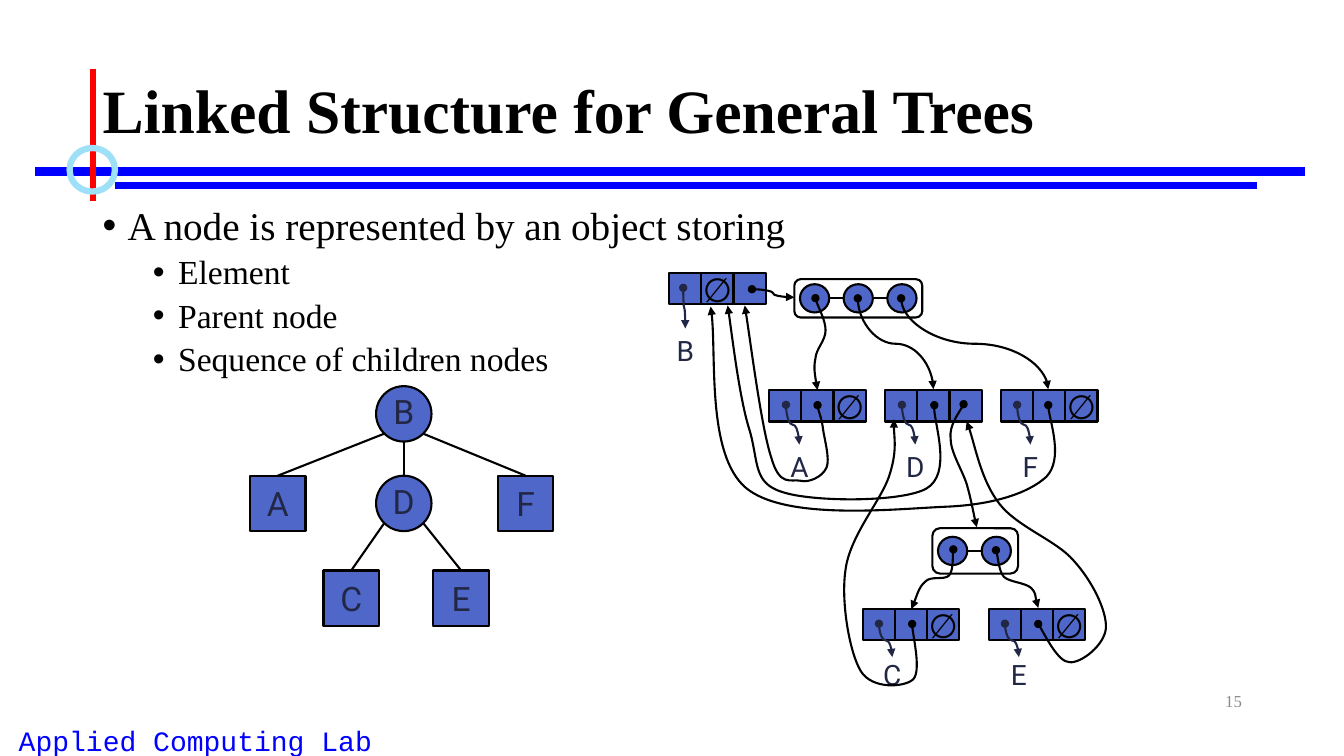
"""Build the slide on the linked structure for general trees."""
import dataclasses

import lxml.etree
import pptx
import pptx.dml.color
import pptx.enum.shapes
import pptx.enum.text
import pptx.oxml.ns
import pptx.util

Pt = pptx.util.Pt
qn = pptx.oxml.ns.qn
Shape = pptx.enum.shapes.MSO_SHAPE
Join = pptx.enum.shapes.MSO_CONNECTOR
Align = pptx.enum.text.PP_ALIGN
Anchor = pptx.enum.text.MSO_ANCHOR


@dataclasses.dataclass(frozen=True)
class Theme:
    black: str = "000000"
    blue: str = "0000FF"
    red: str = "FF0000"
    sky: str = "9EE0F8"
    node: str = "4E67C8"
    ink: str = "212745"
    gray: str = "8C8C8C"
    serif: str = "Times New Roman"
    sans: str = "Roboto"
    mono: str = "Courier New"
    title: int = 44
    lead: int = 28
    item: int = 24
    small: int = 20
    page: int = 12


class Pen:
    def __init__(self, theme, slide):
        self.theme = theme
        self.slide = slide
        self.host = slide.shapes

    def group(self):
        self.host = self.slide.shapes.add_group_shape().shapes

    def color(self, value):
        return pptx.dml.color.RGBColor.from_string(value)

    def style(self, para, font, size, color, bold=False):
        for run in para.runs:
            run.font.name = font
            run.font.size = Pt(size)
            run.font.bold = bold
            run.font.color.rgb = self.color(color)

    def text(self, box, words, font, size, color, align=Align.LEFT, bold=False, wrap=True):
        box = self.host.add_textbox(*map(Pt, box))
        frame = box.text_frame
        frame.word_wrap = wrap
        frame.text = words
        para = frame.paragraphs[0]
        para.alignment = align
        self.style(para, font, size, color, bold)
        return frame

    def bullet(self, para, left):
        props = para._p.get_or_add_pPr()
        props.set("marL", str(Pt(left)))
        props.set("indent", str(Pt(-18)))
        font = lxml.etree.SubElement(props, qn("a:buFont"))
        font.set("typeface", "Arial")
        lxml.etree.SubElement(props, qn("a:buChar")).set("char", "•")
        para.line_spacing = 0.9

    def shape(self, kind, box, fill=None, line=None, width=1.5):
        item = self.host.add_shape(kind, *map(Pt, box))
        item.shadow.inherit = False
        if fill:
            item.fill.solid()
            item.fill.fore_color.rgb = self.color(fill)
        else:
            item.fill.background()
        if line:
            self.stroke(item, line, width)
        else:
            item.line.fill.background()
        return item

    def sign(self, item, words, color, foot=3.6, inset=7.2, top=3.6):
        frame = item.text_frame
        frame.word_wrap = False
        frame.margin_left = frame.margin_right = Pt(inset)
        frame.margin_top, frame.margin_bottom = Pt(top), Pt(foot)
        frame.vertical_anchor = Anchor.MIDDLE
        frame.text = words
        para = frame.paragraphs[0]
        para.alignment = Align.CENTER
        self.style(para, self.theme.sans, self.theme.item, color)

    def stroke(self, item, color, width=1.5, arrow=False):
        item.line.color.rgb = self.color(color)
        item.line.width = Pt(width)
        if arrow:
            line = item._element.spPr.find(qn("a:ln"))
            for tag, kind in (("a:headEnd", "oval"), ("a:tailEnd", "triangle")):
                lxml.etree.SubElement(line, qn(tag)).set("type", kind)

    def link(self, start, end, color, width=1.5, kind=Join.STRAIGHT, arrow=False):
        item = self.host.add_connector(kind, *map(Pt, (*start, *end)))
        self.stroke(item, color, width, arrow)
        lxml.etree.SubElement(item._element.spPr, qn("a:effectLst"))
        return item

    def drop(self, start, end, color):
        midx, midy = (start[0] + end[0]) / 2, (start[1] + end[1]) / 2
        halfx, halfy = (end[0] - start[0]) / 2, (end[1] - start[1]) / 2
        item = self.link((midx + halfy, midy - halfx), (midx - halfy, midy + halfx),
                         color, kind=Join.CURVE, arrow=True)
        item.rotation = 270

    def curve(self, *spots):
        spots = [(Pt(x), Pt(y)) for x, y in spots]
        maker = self.host.build_freeform(*spots[0])
        maker.add_line_segments(spots[1:], close=False)
        item = maker.convert_to_shape()
        route = item._element.xpath(".//a:path")[0]
        steps = route.findall(qn("a:lnTo"))
        for first in range(0, len(steps), 3):
            bend = lxml.etree.SubElement(route, qn("a:cubicBezTo"))
            for step in steps[first:first + 3]:
                bend.append(step[0])
                route.remove(step)
        item.shadow.inherit = False
        item.fill.background()
        self.stroke(item, self.theme.black, arrow=True)

    def record(self, name, x, y, void, start, tip, fall, lift):
        look = self.theme
        for index in range(3):
            cell = self.shape(Shape.RECTANGLE, (x + 23 * index, y, 23, 22.5), look.node, look.black)
            if index == void:
                self.sign(cell, "∅", look.black)
        self.drop((x + start, y + 10.6), (x + tip, y + fall), look.ink)
        self.text((x + tip - 13.5, y + fall - lift, 27, 31), name, look.sans,
                  look.small, look.ink, Align.CENTER, wrap=False)

    def queue(self, x, y, w, h, count):
        look = self.theme
        frame = self.shape(Shape.ROUNDED_RECTANGLE, (x, y, w, h), line=look.black)
        frame.adjustments[0] = 0.167
        mid = y + h / 2
        self.link((x + 25, mid), (x + 4 + 31.2 * (count - 1), mid), look.black)
        for index in range(count):
            self.shape(Shape.OVAL, (x + 4 + 31.2 * index, mid - 10.1, 20.9, 20.2),
                       look.node, look.black)


def frame(pen):
    """Draw the banner, the title, the bullets and the footer."""
    look = pen.theme
    pen.text((-41.8, 513.4, 362.9, 31), "Applied Computing Lab", look.mono, look.small,
             look.blue, Align.CENTER)
    pen.link((25.2, 122.4), (932.4, 122.4), look.blue, 6)
    pen.link((82.1, 132.5), (897.8, 132.5), look.blue, 4.5)
    pen.link((66.2, 49), (66.2, 143.3), look.red, 4.5)
    pen.shape(Shape.OVAL, (49.7, 105.8, 32.4, 31), line=look.sky, width=4.5)
    title = pen.text((66.2, 28.8, 828, 104.4), "Linked Structure for General Trees",
                     look.serif, look.title, look.black, bold=True)
    title.vertical_anchor = Anchor.MIDDLE
    title.paragraphs[0].line_spacing = 0.9
    body = pen.text((66.2, 144, 828, 342.7), "A node is represented by an object storing",
                    look.serif, look.lead, look.black)
    pen.bullet(body.paragraphs[0], 18)
    for words in ("Element", "Parent node", "Sequence of children nodes"):
        para = body.add_paragraph()
        para.text = words
        para.level = 1
        pen.bullet(para, 54)
        para.space_before = Pt(5)
        pen.style(para, look.serif, look.item, look.black)
    page = pen.text((678.2, 486, 216, 28.8), "15", look.serif, look.page, look.gray, Align.RIGHT)
    page.vertical_anchor = Anchor.MIDDLE


def tree(pen):
    """Draw the tree of lettered nodes."""
    look = pen.theme
    nodes = {"B": (268.6, 275.8), "D": (268.6, 339.8), "A": (178.6, 339.8),
             "F": (355.7, 339.8), "C": (231.1, 407.5), "E": (309.6, 407.5)}
    pen.group()
    for name, (x, y) in nodes.items():
        inner = name in "BD"
        kind = Shape.OVAL if inner else Shape.RECTANGLE
        item = pen.shape(kind, (x, y, 39.6, 39.6), look.node, look.black)
        pen.sign(item, name, look.ink, **({"inset": 0, "top": 0} if inner else {}))
    for top, low in ("BA", "BD", "BF", "DC", "DE"):
        (x, y), (lowx, lowy) = nodes[top], nodes[low]
        side = (lowx > x) - (lowx < x)
        pen.link((lowx + 19.8, lowy), (x + 19.8 + 14 * side, y + (34 if side else 40)), look.black)


def chain(pen):
    """Draw the linked records, their child lists and the pointers."""
    pen.group()
    for row in (("B", 478, 195, 1, 10, 11.5, 39.6, 0), ("A", 549.4, 278.6, 2, 12, 21.5, 39, 0),
                ("D", 632.2, 278.6, None, 12, 21.5, 39, 0), ("F", 715, 278.6, 2, 11.5, 21, 39, 0),
                ("C", 616.3, 434.9, 2, 11.5, 21, 34.5, 3.6),
                ("E", 706.3, 434.9, 2, 11.5, 21.5, 34.5, 3.6)):
        pen.record(*row)
    pen.queue(567.4, 199.4, 91.4, 27.4, 3)
    pen.queue(666, 377.3, 61.2, 32.4, 2)
    pen.shape(Shape.OVAL, (747.4, 287.3, 5, 5), pen.theme.node)
    pen.link((537.1, 206.6), (567.4, 212.4), pen.theme.black, kind=Join.CURVE, arrow=True)
    pen.drop((612.7, 213.1), (666.7, 278), pen.theme.black)
    pen.drop((643.7, 213.1), (748.8, 278), pen.theme.black)
    pen.curve((584, 289.4), (584, 292), (587, 299), (588, 307), (589, 314), (593, 328),
              (590.4, 334), (587.5, 340.6), (578, 345), (571.7, 343.4), (565, 342), (557, 348),
              (551, 327), (544, 306), (535.7, 240.5), (532, 218.2))
    pen.curve((667.4, 289.4), (666, 299), (680, 338.4), (661.7, 349), (643.7, 359), (579.6, 358.6),
              (558.7, 351.4), (538, 345), (542, 330.5), (535.7, 308), (528.5, 286), (522.7, 237),
              (519.8, 218.2))
    pen.curve((748.8, 289.4), (748.8, 298), (759.6, 328), (747.4, 340.6), (735, 352), (710, 360.7),
              (674.6, 362), (638.6, 363.6), (561, 372), (532.8, 348.5), (504.7, 324.7),
              (512.6, 245.5), (507.6, 219))
    pen.curve((688.3, 288.7), (687, 292), (678, 304), (679, 313), (679, 323), (687, 335),
              (690.5, 345.6), (693.4, 355.7), (696, 370), (697.7, 376.6))
    pen.curve((711.4, 393), (712.8, 396.7), (713.5, 407.5), (717, 412), (721.4, 416), (732, 416),
              (736.6, 420), (740, 423.4), (740, 431), (741.6, 434.2))
    pen.curve((681, 392.4), (680.4, 396), (681, 407), (678, 411), (674.6, 414.7), (665, 411),
              (661, 415.4), (656.6, 419), (653, 431), (651, 435))
    pen.curve((582.5, 213), (583, 216.7), (589.7, 229), (589.7, 236), (589.7, 243.4), (583, 249),
              (582.5, 256), (581, 263), (583, 273.6), (584, 278.6))
    pen.curve((651.6, 445.7), (651.6, 452), (658, 479.5), (652.3, 485.3), (646, 491), (623, 492.5),
              (615, 479.5), (607, 466.6), (600.5, 430), (604, 407), (607, 383), (629, 358),
              (635, 340.6), (641, 322.6), (638, 308), (638.6, 299.5))
    pen.curve((741.6, 445.7), (745, 450.7), (756, 473), (764, 473), (772, 474), (789, 461),
              (790, 448.6), (790.6, 436), (780, 414.7), (766.8, 400.3), (754.6, 386), (727, 376.6),
              (714, 360), (701, 343.4), (695.5, 313), (690.5, 301))


def main():
    """Set up the deck, draw the slide and save it."""
    deck = pptx.Presentation()
    deck.slide_width, deck.slide_height = Pt(960), Pt(540)
    pen = Pen(Theme(), deck.slides.add_slide(deck.slide_layouts[6]))
    frame(pen)
    tree(pen)
    chain(pen)
    deck.save("out.pptx")


if __name__ == "__main__":
    main()
